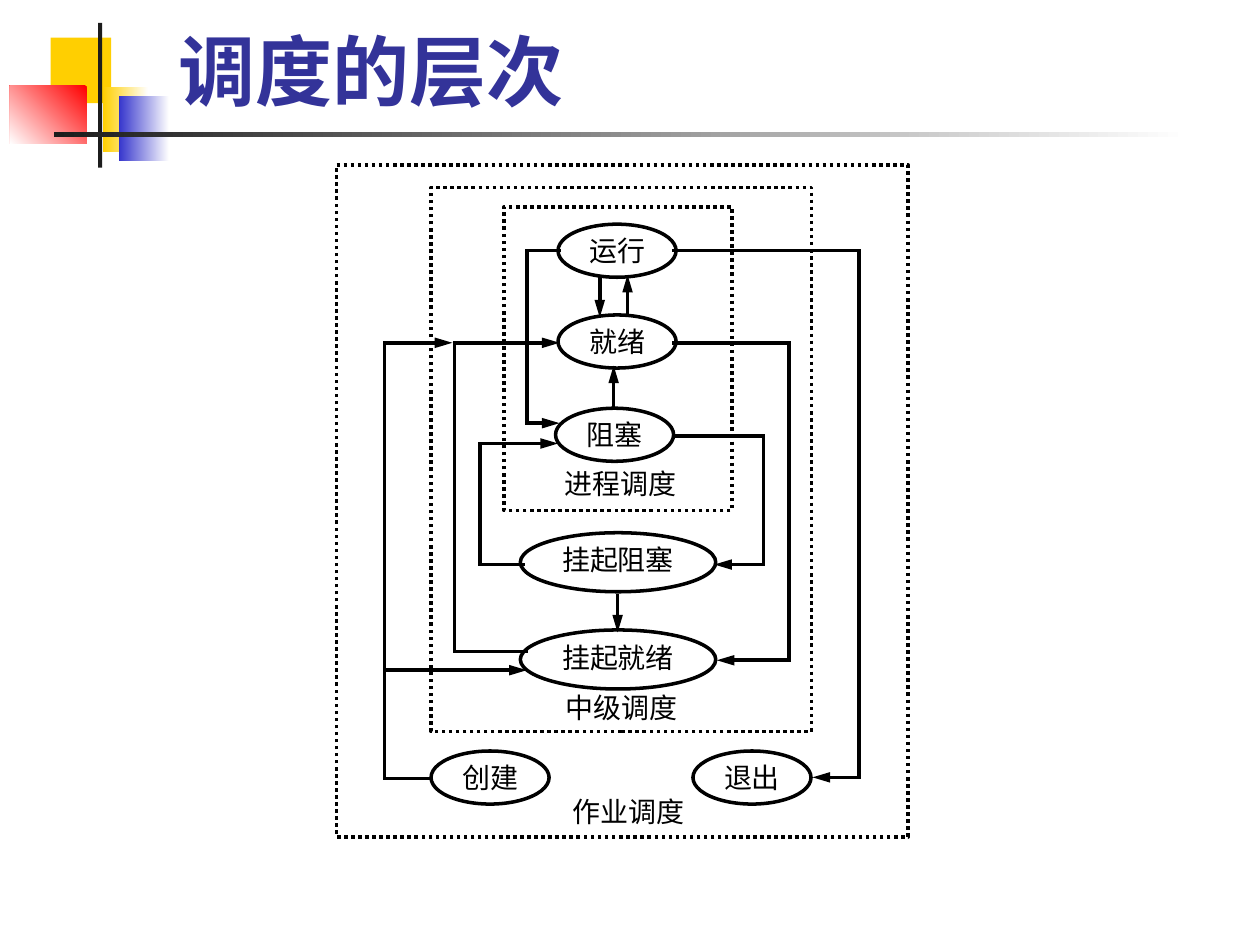
from itertools import pairwise

from lxml import etree
from pptx import Presentation
from pptx.dml.color import RGBColor
from pptx.enum.dml import MSO_LINE
from pptx.enum.shapes import MSO_CONNECTOR, MSO_SHAPE
from pptx.enum.text import MSO_ANCHOR, PP_ALIGN
from pptx.oxml.ns import qn
from pptx.util import Cm, Pt

RECTANGLE, OVAL = MSO_SHAPE.RECTANGLE, MSO_SHAPE.OVAL
STRAIGHT = MSO_CONNECTOR.STRAIGHT
DOTTED = MSO_LINE.ROUND_DOT
TOP, BOTTOM = MSO_ANCHOR.TOP, MSO_ANCHOR.BOTTOM
LEFT, CENTER, JUSTIFY = PP_ALIGN.LEFT, PP_ALIGN.CENTER, PP_ALIGN.JUSTIFY
BLACK, WHITE = "000000", "FFFFFF"


def paint(color_format, hex_color):
    color_format.rgb = RGBColor.from_string(hex_color)


def write(frame, text, align, anchor=TOP, margins=(0.25, 0.13),
          font="Times New Roman", size=16, color=BLACK, bold=False):
    """Fill a text frame with one run; margins are (sides, top and bottom) in cm."""
    frame.word_wrap = True
    frame.vertical_anchor = anchor
    frame.margin_left = frame.margin_right = Cm(margins[0])
    frame.margin_top = frame.margin_bottom = Cm(margins[1])
    paragraph = frame.paragraphs[0]
    paragraph.alignment = align
    run = paragraph.add_run()
    run.text = text
    run.font.name = font
    run.font.size = Pt(size)
    run.font.bold = bold
    paint(run.font.color, color)


prs = Presentation()
prs.slide_width, prs.slide_height = Cm(25.4), Cm(19.05)
slide = prs.slides.add_slide(prs.slide_layouts[6])
shapes = slide.shapes

# Corner ornament: box, colours (two make a gradient), gradient angle
ornament = [
    ((1.02, 0.76, 1.22, 1.32), ["FFCF01"], 0),
    ((2.08, 1.75, 0.91, 1.32), [WHITE, "FFCF01"], 180),
    ((2.39, 1.93, 1.02, 1.32), [WHITE, "3333CC"], 180),
    ((0.2, 1.73, 1.55, 1.17), ["FF0000", WHITE], 225),
    ((1.98, 0.46, 0.08, 2.92), ["1C1C1C"], 0),
    ((1.09, 2.67, 22.86, 0.1), [WHITE, "1C1C1C"], 180),
]
for box, colors, angle in ornament:
    block = shapes.add_shape(RECTANGLE, *map(Cm, box))
    block.shadow.inherit = False
    block.line.fill.background()
    if len(colors) == 1:
        block.fill.solid()
        paint(block.fill.fore_color, colors[0])
    else:
        block.fill.gradient()
        block.fill.gradient_angle = angle
        for stop, color in zip(block.fill.gradient_stops, colors):
            paint(stop.color, color)

title = shapes.add_textbox(Cm(3.05), Cm(0.43), Cm(21.64), Cm(2.03))
write(title.text_frame, "调度的层次", LEFT, BOTTOM, (0.55, 0.13), "Lato", 44, "333399", True)

# Scheduling levels from the outside in, then the process states
levels = [
    (6.78, 3.33, 11.53, 13.54),
    (8.69, 3.78, 7.67, 10.97),
    (10.16, 4.17, 4.6, 6.12),
]
SMALL, WIDE = (2.38, 1.07), (3.94, 1.19)
states = [
    ("运行", 11.25, 4.52, SMALL),
    ("就绪", 11.25, 6.35, SMALL),
    ("阻塞", 11.2, 8.23, SMALL),
    ("挂起阻塞", 10.49, 10.74, WIDE),
    ("挂起就绪", 10.49, 12.7, WIDE),
    ("创建", 8.69, 15.14, SMALL),
    ("退出", 13.97, 15.14, SMALL),
]
outlines = [(RECTANGLE, box, "") for box in levels]
outlines += [(OVAL, (x, y, *size), state) for state, x, y, size in states]
for kind, box, state in outlines:
    outline = shapes.add_shape(kind, *map(Cm, box))
    outline.shadow.inherit = False
    outline.fill.solid()
    paint(outline.fill.fore_color, WHITE)
    paint(outline.line.color, BLACK)
    outline.line.width = Pt(2)
    if state:
        write(outline.text_frame, state, CENTER, margins=(0.15, 0.03))
    else:
        outline.line.dash_style = DOTTED

for level, x, y in [("进程调度", 11.13, 9.27), ("中级调度", 11.15, 13.79), ("作业调度", 11.3, 15.88)]:
    label = shapes.add_textbox(Cm(x), Cm(y), Cm(2.84), Cm(0.91))
    write(label.text_frame, level, JUSTIFY)

# Transitions: corner points, with an arrowhead at the last one
transitions = [
    [(12.09, 5.61), (12.09, 6.4)],
    [(12.65, 6.32), (12.65, 5.54)],
    [(12.37, 8.23), (12.37, 7.37)],
    [(12.45, 12.01), (12.45, 12.75)],
    [(11.28, 5.05), (10.62, 5.05), (10.62, 8.53), (11.28, 8.53)],
    [(13.59, 5.05), (17.32, 5.05), (17.32, 15.67), (16.38, 15.67)],
    [(13.59, 6.91), (15.9, 6.91), (15.9, 13.31), (14.45, 13.31)],
    [(13.59, 8.79), (15.39, 8.79), (15.39, 11.38), (14.4, 11.38)],
    [(10.54, 11.38), (9.68, 11.38), (9.68, 8.94), (11.25, 8.94)],
    [(10.6, 13.13), (9.16, 13.13), (9.16, 6.91), (11.28, 6.91)],
    [(8.69, 15.69), (7.75, 15.69), (7.75, 6.91), (9.12, 6.91)],
    [(7.75, 13.51), (10.62, 13.51)],
]
for corners in transitions:
    for start, end in pairwise(corners):
        segment = shapes.add_connector(STRAIGHT, *map(Cm, start + end))
        paint(segment.line.color, BLACK)
        segment.line.width = Pt(2)
        properties = segment._element.spPr
        line = properties.find(qn("a:ln"))
        line.set("cap", "sq")
        if end == corners[-1]:
            etree.SubElement(line, qn("a:tailEnd"), type="triangle", w="med", len="lg")
        etree.SubElement(properties, qn("a:effectLst"))

prs.save("out.pptx")
